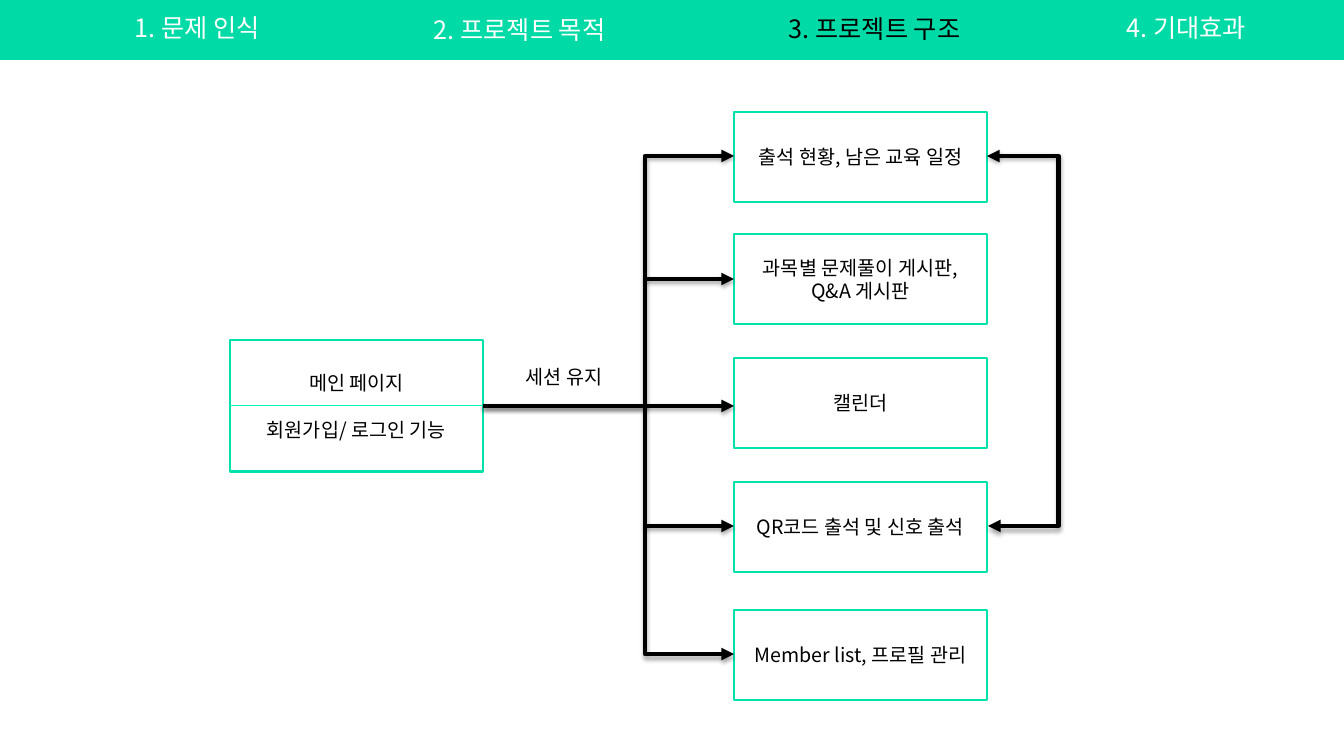
import lxml.etree
import pptx
import pptx.dml.color
import pptx.enum.shapes
import pptx.enum.text
import pptx.oxml.ns
import pptx.util

PX = 914400 * 10 / 1008
FONT = "Noto Sans CJK KR"
COLORS = {
    "band": "00DAA6",
    "border": "00E2AC",
    "divider": "00F6BB",
    "white": "FFFFFF",
    "black": "000000",
}

BOX_WIDTH, BOX_HEIGHT = 253, 90
MAIN_LEFT, MAIN_TOP, MAIN_HEIGHT = 230, 340, 132
MAIN_RIGHT = MAIN_LEFT + BOX_WIDTH
MAIN_MIDDLE = MAIN_TOP + MAIN_HEIGHT // 2
TRUNK_X = 645
FEATURE_LEFT = 734
FEATURE_RIGHT = FEATURE_LEFT + BOX_WIDTH
LOOP_X = 1059

TABS = [
    ("1. 문제 인식", 37, 7, 320),
    ("2. 프로젝트 목적 ", 412, 9, 221),
    ("3. 프로젝트 구조 ", 767, 8, 221),
    ("4. 기대효과", 1076, 7, 221),
]
CURRENT_TAB = 2
# Text lines, box top and height at which the arrow arrives
FEATURES = [
    (["출석 현황, 남은 교육 일정"], 112, 156),
    (["과목별 문제풀이 게시판,", "Q&A 게시판"], 234, 279),
    (["캘린더"], 358, MAIN_MIDDLE),
    (["QR코드 출석 및 신호 출석"], 482, 526),
    (["Member list, 프로필 관리"], 610, 654),
]


def px(*lengths):
    return [pptx.util.Emu(round(length * PX)) for length in lengths]


def rgb(name):
    return pptx.dml.color.RGBColor.from_string(COLORS[name])


def add_element(parent, tag, **attributes):
    return lxml.etree.SubElement(parent, pptx.oxml.ns.qn(tag), attributes)


def write_text(frame, lines, size=14, color="black", gap=0,
               anchor=pptx.enum.text.MSO_ANCHOR.MIDDLE):
    """Fill a text frame with centred paragraphs, gap points apart."""
    frame.word_wrap = True
    frame.vertical_anchor = anchor
    for index, line in enumerate(lines):
        para = frame.paragraphs[0] if index == 0 else frame.add_paragraph()
        para.alignment = pptx.enum.text.PP_ALIGN.CENTER
        para.space_before = pptx.util.Pt(gap if index else 0)
        span = para.add_run()
        span.text = line
        span.font.size = pptx.util.Pt(size)
        span.font.color.rgb = rgb(color)
        span.font.name = FONT
        add_element(span.font._element, "a:ea", typeface=FONT)


def add_rectangle(page, left, top, width, height, fill="white", border=None):
    box = page.shapes.add_shape(pptx.enum.shapes.MSO_SHAPE.RECTANGLE,
                                *px(left, top, width, height))
    box.shadow.inherit = False
    box.fill.solid()
    box.fill.fore_color.rgb = rgb(fill)
    if border:
        box.line.color.rgb = rgb(border)
        box.line.width = pptx.util.Pt(2)
    else:
        box.line.fill.background()
    return box


def add_label(page, text, left, top, width, height, **text_format):
    label = page.shapes.add_textbox(*px(left, top, width, height))
    write_text(label.text_frame, [text],
               anchor=pptx.enum.text.MSO_ANCHOR.TOP, **text_format)


def add_line(page, start, end, color="black", width=3, bend_x=None,
             head=False, tail=False, shadow=True):
    """Draw a straight line, or an elbow whose middle part runs at bend_x."""
    kinds = pptx.enum.shapes.MSO_CONNECTOR
    kind = kinds.STRAIGHT if bend_x is None else kinds.ELBOW
    line = page.shapes.add_connector(kind, *px(*start, *end))
    line.line.color.rgb = rgb(color)
    line.line.width = pptx.util.Pt(width)
    properties = line._element.spPr
    if bend_x is not None:
        share = round((bend_x - start[0]) / (end[0] - start[0]) * 100000)
        guides = properties.find(".//" + pptx.oxml.ns.qn("a:avLst"))
        add_element(guides, "a:gd", name="adj1", fmla=f"val {share}")
    for wanted, tag in ((head, "a:headEnd"), (tail, "a:tailEnd")):
        if wanted:
            add_element(line.line._get_or_add_ln(), tag, type="triangle")
    effects = add_element(properties, "a:effectLst")
    if shadow:
        outer = add_element(effects, "a:outerShdw",
                            blurRad=str(pptx.util.Pt(3.1)),
                            dist=str(pptx.util.Pt(1.8)),
                            dir="5400000", rotWithShape="0")
        black = add_element(outer, "a:srgbClr", val=COLORS["black"])
        add_element(black, "a:alpha", val="35000")


def add_navigation(page):
    band = add_rectangle(page, 0, 0, 1344, 60, fill="band")
    title = page.shapes.title
    title._element.addprevious(band._element)
    for index, (text, left, top, width) in enumerate(TABS):
        if index == CURRENT_TAB:
            title.left, title.top, title.width, title.height = px(
                left, top, width, 40)
            write_text(title.text_frame, [text], size=18,
                       anchor=pptx.enum.text.MSO_ANCHOR.TOP)
        else:
            add_label(page, text, left, top, width, 40, size=18, color="white")


def add_main_page(page):
    box = add_rectangle(page, MAIN_LEFT, MAIN_TOP, BOX_WIDTH, MAIN_HEIGHT,
                        border="border")
    write_text(box.text_frame, ["메인 페이지", "회원가입/ 로그인 기능"], gap=17)
    add_line(page, (MAIN_LEFT, MAIN_MIDDLE), (MAIN_RIGHT, MAIN_MIDDLE),
             color="divider", width=0.75, shadow=False)
    add_label(page, "세션 유지", 507, 360, 114, 34)


def add_features(page):
    for lines, top, arrow_y in FEATURES:
        box = add_rectangle(page, FEATURE_LEFT, top, BOX_WIDTH, BOX_HEIGHT,
                            border="border")
        write_text(box.text_frame, lines)


def add_arrows(page):
    levels = [arrow_y for lines, top, arrow_y in FEATURES]
    for level in (levels[0], levels[-1]):
        add_line(page, (MAIN_RIGHT, MAIN_MIDDLE), (FEATURE_LEFT, level),
                 bend_x=TRUNK_X, tail=True)
    for level in levels[1:-1]:
        add_line(page, (TRUNK_X, level), (FEATURE_LEFT, level), tail=True)
    add_line(page, (FEATURE_RIGHT, levels[0]), (FEATURE_RIGHT + 1, levels[3]),
             bend_x=LOOP_X, head=True, tail=True)


def main():
    deck = pptx.Presentation()
    deck.slide_width, deck.slide_height = px(1344, 756)
    page = deck.slides.add_slide(deck.slide_layouts.get_by_name("Title Only"))
    add_navigation(page)
    add_main_page(page)
    add_features(page)
    add_arrows(page)
    deck.save("out.pptx")


if __name__ == "__main__":
    main()
